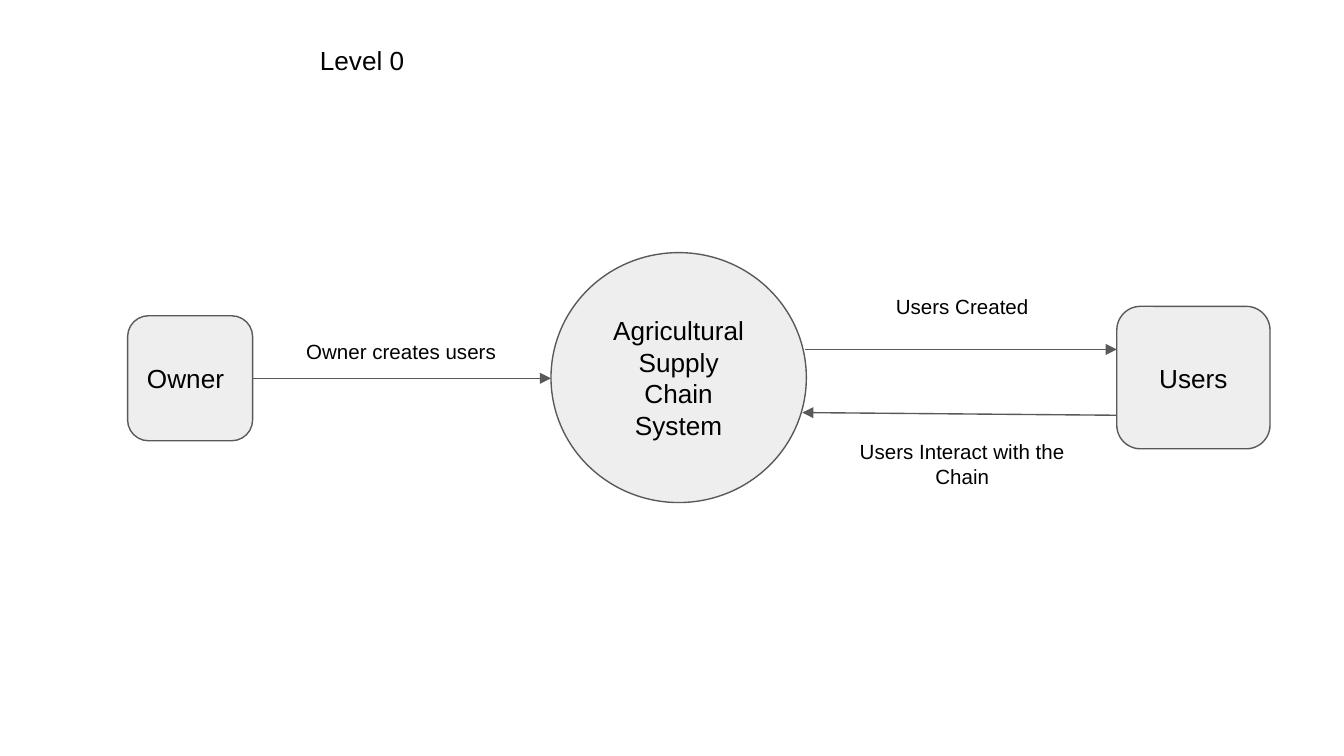
from pptx import Presentation
from pptx.dml.color import RGBColor
from pptx.enum import shapes, text
from pptx.oxml.ns import qn
from pptx.util import Inches, Pt
from lxml import etree

FILL, LINE, INK = "EEEEEE", "595959", "000000"
LEFT, CENTER = text.PP_ALIGN.LEFT, text.PP_ALIGN.CENTER
TOP, MIDDLE = text.MSO_ANCHOR.TOP, text.MSO_ANCHOR.MIDDLE


def rgb(value):
    return RGBColor.from_string(value)


def write(shape, words, size, align, anchor):
    frame = shape.text_frame
    frame.word_wrap = True
    frame.auto_size = text.MSO_AUTO_SIZE.NONE
    frame.vertical_anchor = anchor
    frame.margin_left = frame.margin_right = Inches(0.1)
    frame.margin_top = frame.margin_bottom = Inches(0.1)
    paragraph = frame.paragraphs[0]
    paragraph.alignment = align
    run = paragraph.add_run()
    run.text = words
    run.font.name = "Arial"
    run.font.size = Pt(size)
    run.font.color.rgb = rgb(INK)


prs = Presentation()
prs.slide_width = Inches(10)
prs.slide_height = Inches(10 * 9 / 16)
slide = prs.slides.add_slide(prs.slide_layouts[5])

# Title
title = slide.shapes.title
title.left, title.top = Inches(2.28), Inches(0.23)
title.width, title.height = Inches(5.07), Inches(0.44)
write(title, "Level 0", 14, LEFT, TOP)

# Entities and the process between them
rounded = shapes.MSO_SHAPE.ROUNDED_RECTANGLE
circle = shapes.MSO_SHAPE.FLOWCHART_CONNECTOR
nodes = {}
for words, kind, align, box in [
    ("Owner", rounded, LEFT, (0.95, 2.35, 0.93, 0.93)),
    ("Agricultural Supply Chain System", circle, CENTER, (4.1, 1.88, 1.9, 1.86)),
    ("Users", rounded, CENTER, (8.31, 2.28, 1.14, 1.06)),
]:
    node = slide.shapes.add_shape(kind, *map(Inches, box))
    node.shadow.inherit = False
    node.fill.solid()
    node.fill.fore_color.rgb = rgb(FILL)
    node.line.color.rgb = rgb(LINE)
    node.line.width = Pt(0.75)
    write(node, words, 14, align, MIDDLE)
    nodes[words] = node

# Data flows
flows = []
for ends in [
    (1.88, 2.81, 4.1, 2.81),
    (5.99, 2.6, 8.31, 2.6),
    (8.31, 3.09, 5.97, 3.07),
]:
    flow = slide.shapes.add_connector(
        shapes.MSO_CONNECTOR.STRAIGHT, *map(Inches, ends))
    flow.line.color.rgb = rgb(LINE)
    flow.line.width = Pt(0.75)
    etree.SubElement(flow.line._get_or_add_ln(), qn("a:tailEnd"),
                     type="triangle", w="med", len="med")
    etree.SubElement(flow._element.spPr, qn("a:effectLst"))
    flows.append(flow)
flows[0].begin_connect(nodes["Owner"], 3)
flows[0].end_y = flows[0].begin_y

# Flow labels
for words, box in [
    ("Owner creates users", (2.03, 2.42, 1.91, 0.39)),
    ("Users Created", (6.18, 2.09, 1.96, 0.39)),
    ("Users Interact with the Chain", (6.18, 3.17, 1.96, 0.57)),
]:
    label = slide.shapes.add_textbox(*map(Inches, box))
    write(label, words, 11, CENTER, TOP)

prs.save("out.pptx")
